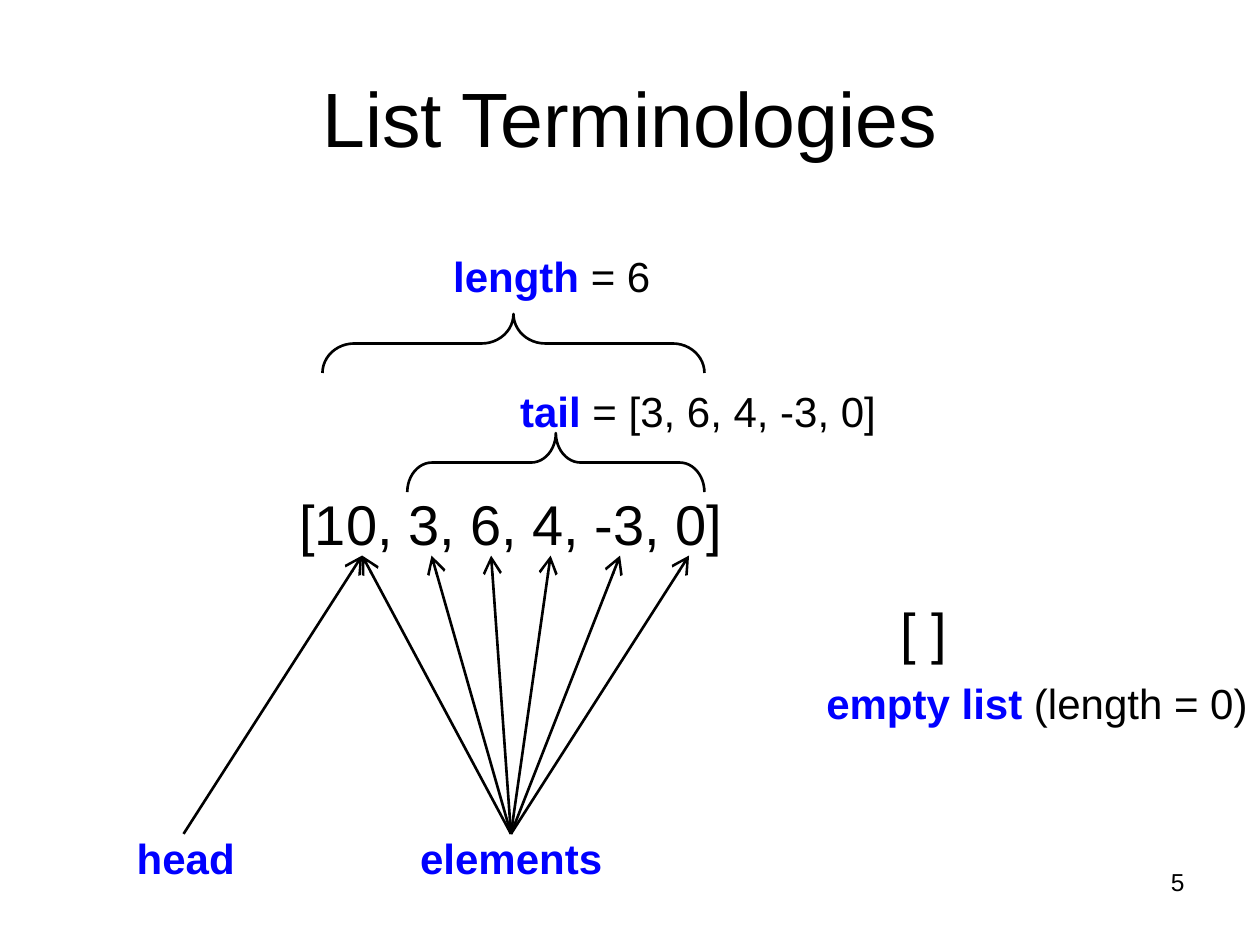
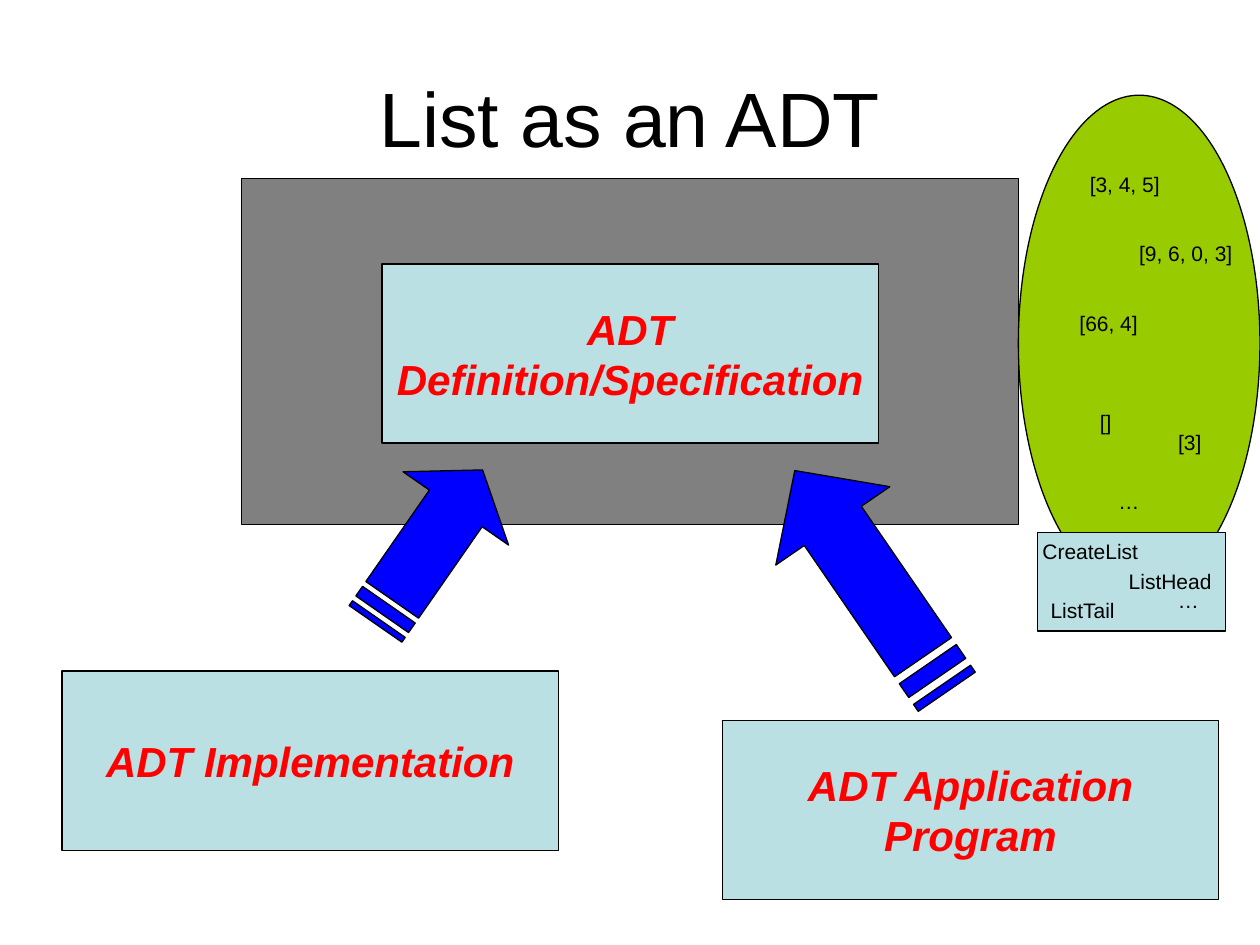
from dataclasses import dataclass

from lxml.etree import SubElement
from pptx import Presentation
from pptx.dml.color import RGBColor
from pptx.enum.shapes import MSO_CONNECTOR as ConnectorType, MSO_SHAPE as ShapeType
from pptx.enum.text import MSO_ANCHOR as Anchor, MSO_AUTO_SIZE as AutoSize, PP_ALIGN as Align
from pptx.oxml.ns import qn
from pptx.shapes.base import BaseShape
from pptx.slide import Slide
from pptx.util import Cm, Pt

FONT = "Arial"
BLACK = "000000"
BLUE = "0000FF"
RED = "FF0000"
GRAY = "808080"
PALE_BLUE = "BBE0E3"
GREEN = "99CC00"

SLIDE_WIDTH, SLIDE_HEIGHT = 25.4, 19.05
LABEL_HEIGHTS = {12: 0.76, 24: 1.27, 32: 1.63}
LABEL_SLACK = 0.1
BRACE_DEPTH = 1.19
ARROW_TIP_TOP, ARROW_START_TOP = 11.2, 16.81
ADT_BOX_SIZE = (10.01, 3.61)


@dataclass(frozen=True)
class Box:
    left: float
    top: float
    width: float
    height: float

    def lengths(self) -> tuple[Cm, Cm, Cm, Cm]:
        return Cm(self.left), Cm(self.top), Cm(self.width), Cm(self.height)


@dataclass(frozen=True)
class Label:
    left: float
    top: float
    width: float
    text: str = ""
    size: int = 12
    term: str = ""


@dataclass(frozen=True)
class Brace:
    left: float
    top: float
    length: float


@dataclass(frozen=True)
class AdtBox:
    left: float
    top: float
    text: str


@dataclass(frozen=True)
class StripedArrow:
    box: Box
    rotation: float


LIST_LABELS = [
    Label(5.79, 9.74, 9.04, "[10, 3, 6, 4, -3, 0]", 32),
    Label(8.22, 16.66, 4.17, size=24, term="elements"),
    Label(2.5, 16.66, 2.49, size=24, term="head"),
    Label(10.24, 7.65, 7.67, " = [3, 6, 4, -3, 0]", 24, "tail"),
    Label(8.89, 4.93, 4.47, " = 6", 24, "length"),
    Label(17.9, 11.93, 1.45, "[ ]", 32),
    Label(16.41, 13.53, 8.99, " (length = 0)", 24, "empty list"),
]
LIST_BRACES = [Brace(8.21, 8.73, 5.99), Brace(6.5, 6.33, 7.7)]
HEAD_START, ELEMENTS_START = 3.7, 10.3
ELEMENT_TIPS = [7.3, 8.7, 9.9, 11.1, 12.5, 13.89]

ADT_BOXES = [
    AdtBox(1.25, 13.53, "ADT Implementation"),
    AdtBox(14.56, 14.52, "ADT Application Program"),
    AdtBox(7.7, 5.32, "ADT Definition/Specification"),
]
STRIPED_ARROWS = [
    StripedArrow(Box(6.76, 9.73, 3.78, 2.59), 304.8),
    StripedArrow(Box(14.85, 10.32, 5.41, 2.79), 235.5),
]
ARROW_BODY = [(5, 1), (24, 1), (24, 0), (32, 2), (24, 4), (24, 3), (5, 3)]
ARROW_STRIPES = [(2, 4), (0, 1)]
VALUE_LABELS = [
    Label(22.5, 11.33, 2.18, "ListHead"),
    Label(20.76, 10.73, 2.44, "CreateList"),
    Label(23.5, 11.71, 0.91, "…"),
    Label(22.3, 9.73, 0.91, "…"),
    Label(20.9, 11.93, 1.85, "ListTail"),
    Label(21.92, 8.13, 0.74, "[]"),
    Label(21.51, 6.13, 1.68, "[66, 4]"),
    Label(22.71, 4.72, 2.39, "[9, 6, 0, 3]"),
    Label(21.72, 3.33, 1.91, "[3, 4, 5]"),
    Label(23.5, 8.53, 0.97, "[3]"),
]


def color(value: str) -> RGBColor:
    return RGBColor.from_string(value)


def write_text(shape: BaseShape, text: str, *, size: int, text_color: str = BLACK,
               bold: bool = False, italic: bool = False, align: Align = Align.CENTER,
               anchor: Anchor = Anchor.TOP, wrap: bool = True) -> None:
    frame = shape.text_frame
    frame.word_wrap = wrap
    frame.auto_size = AutoSize.NONE if wrap else AutoSize.SHAPE_TO_FIT_TEXT
    frame.vertical_anchor = anchor
    paragraph = frame.paragraphs[0]
    paragraph.alignment = align
    run = paragraph.add_run()
    run.text = text
    run.font.name = FONT
    run.font.size = Pt(size)
    run.font.bold = bold
    run.font.italic = italic
    run.font.color.rgb = color(text_color)


def style_shape(shape: BaseShape, fill: str | None, line_width: float = 0.75) -> None:
    shape.shadow.inherit = False
    if fill:
        shape.fill.solid()
        shape.fill.fore_color.rgb = color(fill)
    else:
        shape.fill.background()
    shape.line.color.rgb = color(BLACK)
    shape.line.width = Pt(line_width)


def add_filled_shape(slide: Slide, kind: ShapeType, box: Box, fill: str) -> BaseShape:
    shape = slide.shapes.add_shape(kind, *box.lengths())
    style_shape(shape, fill)
    return shape


def add_title(slide: Slide, title: str) -> None:
    shape = slide.shapes.add_textbox(*Box(1.27, 0.76, 22.86, 3.18).lengths())
    write_text(shape, title, size=44, anchor=Anchor.MIDDLE)


def add_label(slide: Slide, label: Label) -> None:
    box = Box(label.left - LABEL_SLACK, label.top, label.width + 2 * LABEL_SLACK,
              LABEL_HEIGHTS[label.size])
    shape = slide.shapes.add_textbox(*box.lengths())
    if label.term:
        write_text(shape, label.term, size=label.size, text_color=BLUE, bold=True, wrap=False)
    if label.text:
        write_text(shape, label.text, size=label.size, wrap=False)


def add_brace(slide: Slide, brace: Brace) -> None:
    left = brace.left + (brace.length - BRACE_DEPTH) / 2
    top = brace.top - (brace.length - BRACE_DEPTH) / 2
    box = Box(left, top, BRACE_DEPTH, brace.length)
    shape = slide.shapes.add_shape(ShapeType.LEFT_BRACE, *box.lengths())
    shape.rotation = 90
    shape.adjustments[0] = brace.length / 12 / BRACE_DEPTH
    style_shape(shape, None, 1.5)


def add_pointer(slide: Slide, start: float, tip: float) -> None:
    connector = slide.shapes.add_connector(
        ConnectorType.STRAIGHT, Cm(start), Cm(ARROW_START_TOP), Cm(tip), Cm(ARROW_TIP_TOP))
    connector.line.color.rgb = color(BLACK)
    connector.line.width = Pt(1.5)
    properties = connector.element.spPr
    SubElement(properties.find(qn("a:ln")), qn("a:tailEnd"), type="arrow", w="lg", len="lg")
    SubElement(properties, qn("a:effectLst"))


def add_striped_arrow(slide: Slide, arrow: StripedArrow) -> None:
    left, top, width, height = arrow.box.lengths()
    builder = slide.shapes.build_freeform(*ARROW_BODY[0], scale=(width / 32, height / 4))
    builder.add_line_segments(ARROW_BODY[1:], close=True)
    for start, end in ARROW_STRIPES:
        builder.move_to(start, 1)
        builder.add_line_segments([(end, 1), (end, 3), (start, 3)], close=True)
    shape = builder.convert_to_shape(left, top)
    shape.rotation = arrow.rotation
    style_shape(shape, BLUE)


def add_adt_box(slide: Slide, adt_box: AdtBox) -> None:
    box = Box(adt_box.left, adt_box.top, *ADT_BOX_SIZE)
    shape = add_filled_shape(slide, ShapeType.RECTANGLE, box, PALE_BLUE)
    write_text(shape, adt_box.text, size=24, text_color=RED, bold=True, italic=True,
               anchor=Anchor.MIDDLE)


def build_terminologies(slide: Slide) -> None:
    number = slide.shapes.add_textbox(*Box(18.21, 17.35, 5.92, 1.32).lengths())
    write_text(number, "5", size=14, align=Align.RIGHT)
    add_title(slide, "List Terminologies")
    for tip in ELEMENT_TIPS:
        add_pointer(slide, ELEMENTS_START, tip)
    add_pointer(slide, HEAD_START, ELEMENT_TIPS[0])
    for label in LIST_LABELS:
        add_label(slide, label)
    for brace in LIST_BRACES:
        add_brace(slide, brace)


def build_adt(slide: Slide) -> None:
    add_filled_shape(slide, ShapeType.RECTANGLE, Box(4.87, 3.6, 15.66, 6.98), GRAY)
    add_title(slide, "List as an ADT")
    for adt_box in ADT_BOXES:
        add_adt_box(slide, adt_box)
    for arrow in STRIPED_ARROWS:
        add_striped_arrow(slide, arrow)
    add_filled_shape(slide, ShapeType.OVAL, Box(20.53, 1.92, 4.87, 10), GREEN)
    add_filled_shape(slide, ShapeType.RECTANGLE, Box(20.91, 10.73, 3.8, 1.99), PALE_BLUE)
    for label in VALUE_LABELS:
        add_label(slide, label)


def main() -> None:
    presentation = Presentation()
    presentation.slide_width = Cm(SLIDE_WIDTH)
    presentation.slide_height = Cm(SLIDE_HEIGHT)
    blank_layout = presentation.slide_layouts[6]
    for build in (build_terminologies, build_adt):
        build(presentation.slides.add_slide(blank_layout))
    presentation.save("out.pptx")


if __name__ == "__main__":
    main()
